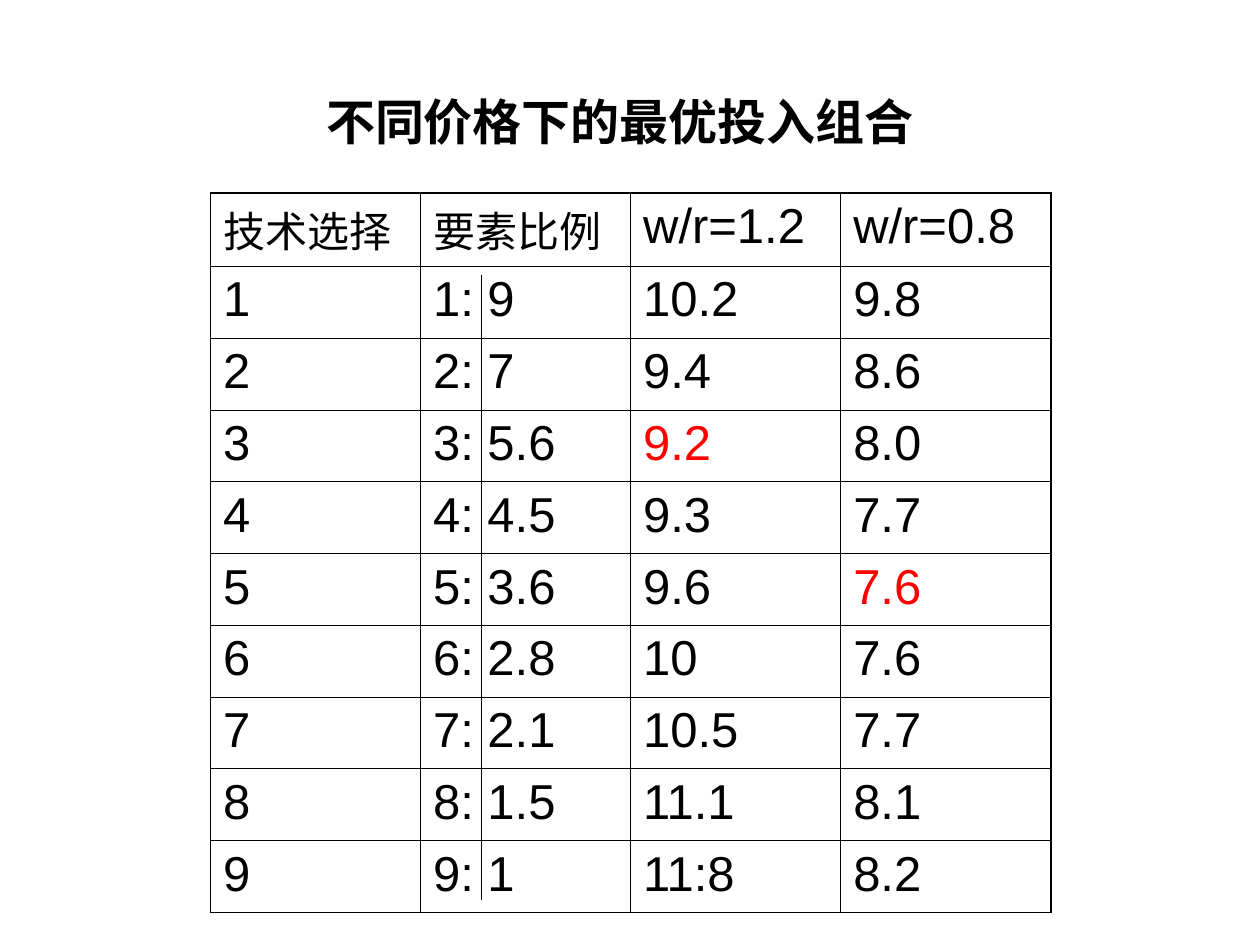
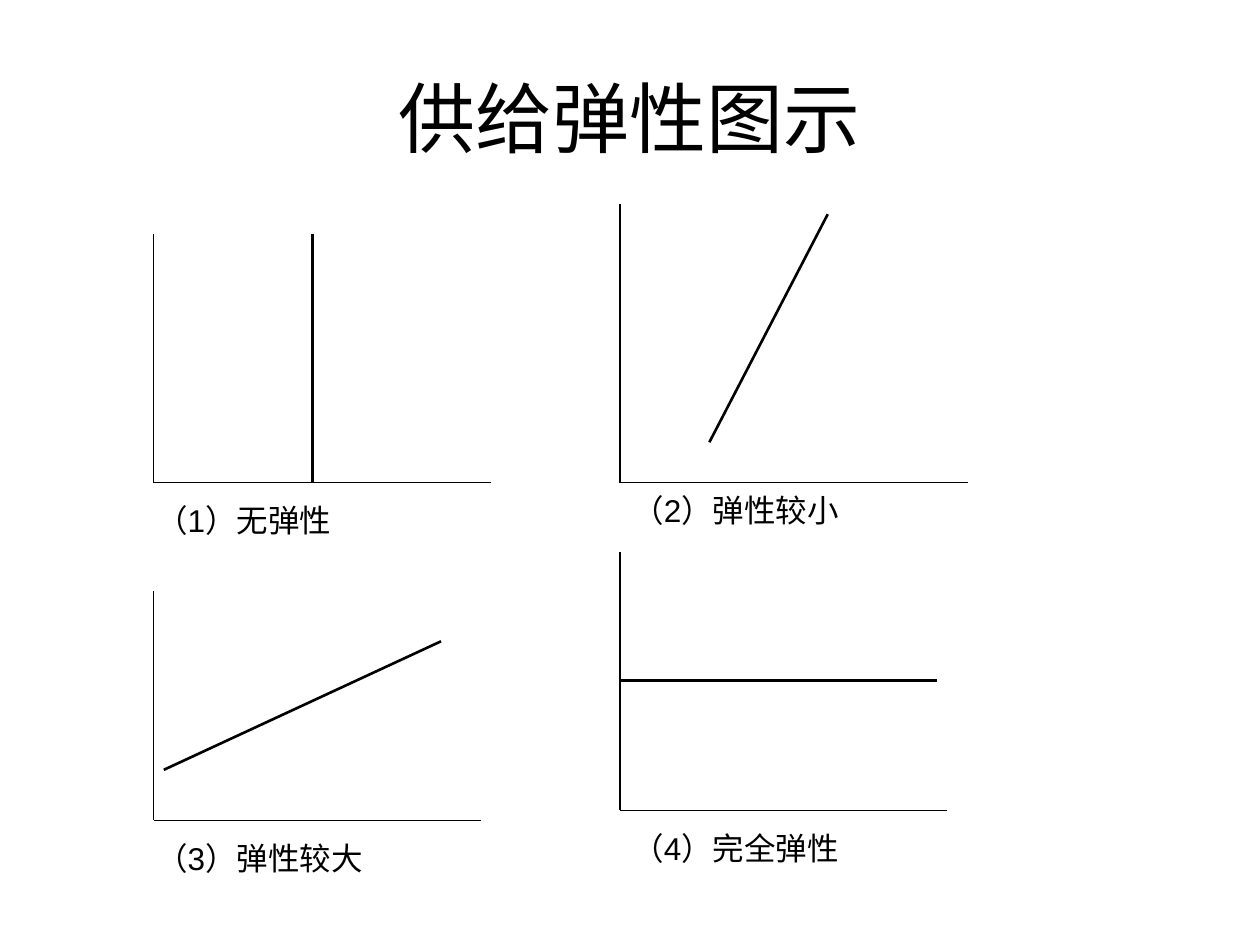
from lxml.etree import SubElement
from pptx import Presentation
from pptx.dml.color import RGBColor
from pptx.enum.shapes import MSO_CONNECTOR
from pptx.enum.text import MSO_ANCHOR, MSO_AUTO_SIZE, PP_ALIGN
from pptx.oxml import parse_xml
from pptx.oxml.ns import nsdecls, qn
from pptx.util import Inches, Pt

BLACK = RGBColor(0, 0, 0)
RED = RGBColor(255, 0, 0)
FONT = "Arial"
THIN, THICK = 0.45, 1.08
AXIS, CURVE = 0.75, 1.5

HEADERS = ["技术选择", "要素比例", "w/r=1.2", "w/r=0.8"]
# factor ratio, cost at w/r=1.2, cost at w/r=0.8
TECHNIQUES = [
    ("9", "10.2", "9.8"),
    ("7", "9.4", "8.6"),
    ("5.6", "9.2", "8.0"),
    ("4.5", "9.3", "7.7"),
    ("3.6", "9.6", "7.6"),
    ("2.8", "10", "7.6"),
    ("2.1", "10.5", "7.7"),
    ("1.5", "11.1", "8.1"),
    ("1", "11:8", "8.2"),
]
LOWEST_COSTS = {(3, 2), (5, 3)}

# origin, axis top, axis right, curve start, curve end, caption position, caption
GRAPHS = [
    ((1.22, 3.83), 1.86, 3.9, (2.48, 1.86), (2.48, 3.83),
     (1.14, 3.93, 1.71), "（1）无弹性"),
    ((4.92, 3.83), 1.62, 7.68, (5.63, 3.51), (6.57, 1.7),
     (4.92, 3.85, 1.96), "（2）弹性较小"),
    ((1.22, 6.51), 4.69, 3.82, (1.3, 6.11), (3.5, 5.09),
     (1.14, 6.61, 1.96), "（3）弹性较大"),
    ((4.92, 6.43), 4.38, 7.52, (4.92, 5.4), (7.44, 5.4),
     (4.92, 6.53, 1.96), "（4）完全弹性"),
]


def write(tf, text, size, color=BLACK, bold=False, align=PP_ALIGN.LEFT, before=0):
    p = tf.paragraphs[0]
    p.alignment = align
    p.space_before = Pt(before)
    r = p.add_run()
    r.text = text
    r.font.name = FONT
    r.font.size = Pt(size)
    r.font.bold = bold
    r.font.color.rgb = color


def add_text(s, left, top, width, height, text, size, wrap=False,
             anchor=MSO_ANCHOR.TOP, **text_format):
    sp = s.shapes.add_textbox(Inches(left), Inches(top), Inches(width), Inches(height))
    tf = sp.text_frame
    tf.word_wrap = wrap
    tf.auto_size = MSO_AUTO_SIZE.NONE if wrap else MSO_AUTO_SIZE.SHAPE_TO_FIT_TEXT
    tf.vertical_anchor = anchor
    write(tf, text, size, **text_format)


def add_line(s, start, end, width):
    points = [Inches(v) for v in (*start, *end)]
    line = s.shapes.add_connector(MSO_CONNECTOR.STRAIGHT, *points)
    line.line.color.rgb = BLACK
    line.line.width = Pt(width)
    SubElement(line._element.spPr, qn("a:effectLst"))


def set_borders(cell, **widths):
    """Draw the borders named L, R, T and B, in that order, in points."""
    tcPr = cell._tc.get_or_add_tcPr()
    for i, (side, width) in enumerate(widths.items()):
        tcPr.insert(i, parse_xml(
            f'<a:ln{side} {nsdecls("a")} w="{Pt(width)}"><a:solidFill>'
            f'<a:srgbClr val="{BLACK}"/></a:solidFill></a:ln{side}>'))


def add_cost_table(s):
    rows = [HEADERS] + [(str(n), f"{n}: {ratio}", *costs)
                        for n, (ratio, *costs) in enumerate(TECHNIQUES, 1)]
    last_row, last_col = len(rows) - 1, len(HEADERS) - 1
    table = s.shapes.add_table(len(rows), len(HEADERS), Inches(1.67), Inches(1.53),
                               Inches(6.67), Inches(5.7)).table
    table.first_row = table.horz_banding = False
    for column in table.columns:
        column.width = Inches(6.67 / len(HEADERS))
    for i, row in enumerate(rows):
        table.rows[i].height = Inches(0.57)
        for j, text in enumerate(row):
            cell = table.cell(i, j)
            cell.fill.background()
            small = i == 0 and j < 2
            write(cell.text_frame, text, 24 if small else 28,
                  color=RED if (i, j) in LOWEST_COSTS else BLACK,
                  before=6 if small else 7)
            set_borders(cell,
                        L=THICK if j == 0 else THIN,
                        R=THICK if j == last_col else THIN,
                        T=THICK if i == 0 else THIN,
                        B=THICK if i == last_row else THIN)


def add_graph(s, origin, top, right, curve_start, curve_end, caption_at, caption):
    x, y = origin
    add_line(s, (x, top), origin, AXIS)
    add_line(s, origin, (right, y), AXIS)
    add_line(s, curve_start, curve_end, CURVE)
    add_text(s, *caption_at, 0.4, caption, 18)


def main():
    prs = Presentation()
    prs.slide_width, prs.slide_height = Inches(10), Inches(7.5)
    blank = prs.slide_layouts[6]

    s = prs.slides.add_slide(blank)
    add_cost_table(s)
    add_text(s, 2.49, 0.68, 4.86, 0.57, "不同价格下的最优投入组合", 28, bold=True)
    add_line(s, (3.82, 2.18), (3.82, 7.14), AXIS)

    s = prs.slides.add_slide(blank)
    add_text(s, 0.5, 0.3, 9, 1.25, "供给弹性图示", 44, wrap=True,
             anchor=MSO_ANCHOR.MIDDLE, align=PP_ALIGN.CENTER)
    for graph in GRAPHS:
        add_graph(s, *graph)

    prs.save("out.pptx")


if __name__ == "__main__":
    main()
